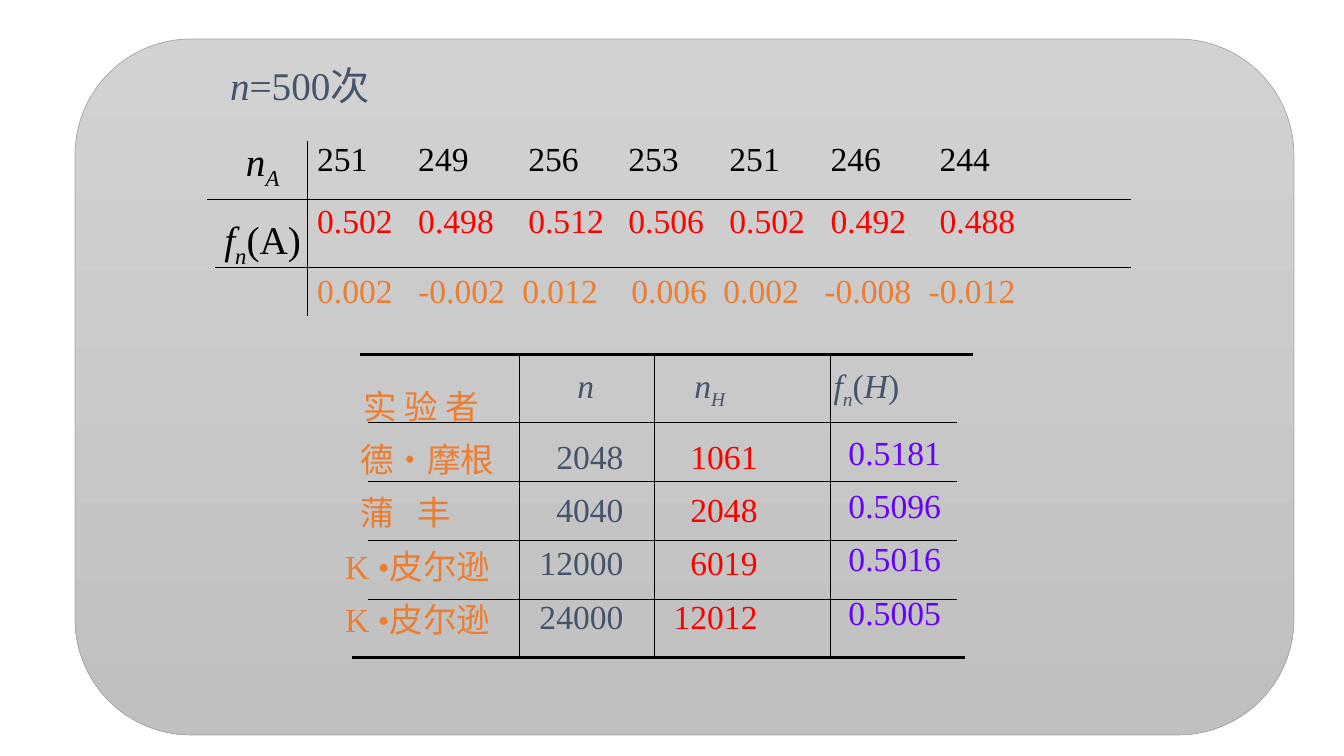
from lxml import etree
from pptx import Presentation
from pptx import util as u
from pptx.dml.color import RGBColor
from pptx.enum import shapes, text
from pptx.oxml import ns

EMU_PER_PX = 914400 / 100.7
FONT = "Times New Roman"
BLACK = RGBColor(0x00, 0x00, 0x00)
RED = RGBColor(0xFF, 0x00, 0x00)
ORANGE = RGBColor(0xED, 0x7D, 0x31)
SLATE = RGBColor(0x44, 0x54, 0x6A)
VIOLET = RGBColor(0x66, 0x00, 0xFF)
PANEL_TOP = RGBColor(0xD2, 0xD2, 0xD2)
PANEL_BOTTOM = RGBColor(0xC0, 0xC0, 0xC0)
PANEL_EDGE = RGBColor(0xA5, 0xA5, 0xA5)


def px(n):
    return u.Emu(round(n * EMU_PER_PX))


def add_panel(s, x, y, w, h):
    sp = s.shapes.add_shape(shapes.MSO_SHAPE.ROUNDED_RECTANGLE,
                            px(x), px(y), px(w), px(h))
    sp.shadow.inherit = False
    sp.fill.gradient()
    sp.fill.gradient_angle = 270
    for stop, color, at in zip(sp.fill.gradient_stops,
                               (PANEL_TOP, PANEL_BOTTOM), (0, 1)):
        stop.color.rgb = color
        stop.position = at
    sp.line.color.rgb = PANEL_EDGE
    sp.line.width = u.Pt(0.5)


def add_line(s, x1, y1, x2, y2, width=0.75):
    c = s.shapes.add_connector(shapes.MSO_CONNECTOR.STRAIGHT,
                               px(x1), px(y1), px(x2), px(y2))
    c.line.color.rgb = BLACK
    c.line.width = u.Pt(width)
    etree.SubElement(c._element.spPr, ns.qn("a:effectLst"))


def add_box(s, x, y, w, h, right=10):
    tf = s.shapes.add_textbox(px(x), px(y), px(w), px(h)).text_frame
    tf.word_wrap = True
    tf.margin_right = px(right)
    return tf


def add_tabs(p, stops):
    tabs = etree.SubElement(p._p.get_or_add_pPr(), ns.qn("a:tabLst"))
    for stop in stops:
        etree.SubElement(tabs, ns.qn("a:tab"), pos=str(px(stop)), algn="l")


def add_para(tf, runs, color, size=24, tabs=(), before=15, spacing=None, align=None):
    """Add one paragraph; runs are (text, style): i = italic, s = subscript."""
    first = not tf.paragraphs[0].runs
    p = tf.paragraphs[0] if first else tf.add_paragraph()
    if tabs:
        add_tabs(p, tabs)
    p.space_before = u.Pt(0 if first else before)
    if spacing:
        p.line_spacing = spacing
    if align:
        p.alignment = align
    for words, style in runs:
        r = p.add_run()
        r.text = words
        r.font.name = FONT
        r.font.size = u.Pt(size)
        r.font.color.rgb = color
        r.font.italic = "i" in style
        if "s" in style:
            r._r.get_or_add_rPr().set("baseline", "-25000")


def add_column(s, x, y, w, values, color, right=10, align=None):
    tf = add_box(s, x, y, w, 203, right)
    for value in values:
        add_para(tf, [(value, "")], color, spacing=0.8, align=align)


def add_trials(s):
    # Title
    tf = add_box(s, 220, 56, 176, 57)
    add_para(tf, [("n", "i"), ("=500次", "")], SLATE, 28)

    # Values of the seven trials
    tf = add_box(s, 307, 133, 829, 183)
    even, loose = (101, 211, 311, 412, 513, 622), (101, 205, 314, 406, 507, 611)
    rows = [
        ("251 249 256 253 251 246 244", BLACK, even, 0),
        ("0.502 0.498 0.512 0.506 0.502 0.492 0.488", RED, even, 15),
        ("0.002 -0.002 0.012 0.006 0.002 -0.008 -0.012", ORANGE, loose, 21.5),
    ]
    for values, color, tabs, before in rows:
        add_para(tf, [("\t".join(values.split()), "")], color,
                 tabs=tabs, before=before)

    # Row labels
    tf = add_box(s, 208, 132, 109, 213)
    for runs in ([("n", "i"), ("A", "is")],
                 [("f", "i"), ("n", "is"), ("(A)", "")]):
        add_para(tf, runs, BLACK, 28, before=17.5, align=text.PP_ALIGN.CENTER)

    # Rules
    add_line(s, 207, 199, 1130, 199)
    add_line(s, 215, 267, 1130, 267)
    add_line(s, 307, 141, 307, 316)


def add_experimenters(s):
    # Rules
    add_line(s, 360, 354, 972, 354, 2.25)
    add_line(s, 352, 657, 964, 657, 2.25)
    for x in (519, 654, 830):
        add_line(s, x, 354, x, 657)
    for i in range(4):
        y = 422 + 59 * i
        add_line(s, 368, y, 956, y)

    # Names
    tf = add_box(s, 335, 388, 209, 257)
    for name, tabs in (("\t实 验 者", (18,)), ("\t德•摩根", (15,)),
                       ("\t蒲\t丰", (15, 72)),
                       ("K •皮尔逊", ()), ("K •皮尔逊", ())):
        add_para(tf, [(name, "")], ORANGE, tabs=tabs, spacing=0.8)

    # Column heads
    tf = add_box(s, 528, 359, 504, 56)
    add_para(tf, [("\tn\tn", "i"), ("H", "is"), ("\tf", "i"), ("n", "is"),
                  ("(", ""), ("H", "i"), (")", "")], SLATE, tabs=(39, 156, 295))

    # Columns of figures
    right = text.PP_ALIGN.RIGHT
    add_column(s, 528, 438, 134, ("2048", "4040", "12000", "24000"),
               SLATE, 39, right)
    add_column(s, 662, 438, 134, ("1061", "2048", "6019", "12012"),
               RED, 39, right)
    add_column(s, 838, 434, 134, ("0.5181", "0.5096", "0.5016", "0.5005"), VIOLET)


def main():
    prs = Presentation()
    prs.slide_width, prs.slide_height = px(1343), px(755)
    s = prs.slides.add_slide(prs.slide_layouts[6])
    add_panel(s, 75, 39, 1218, 695)
    add_trials(s)
    add_experimenters(s)
    prs.save("out.pptx")


if __name__ == "__main__":
    main()
